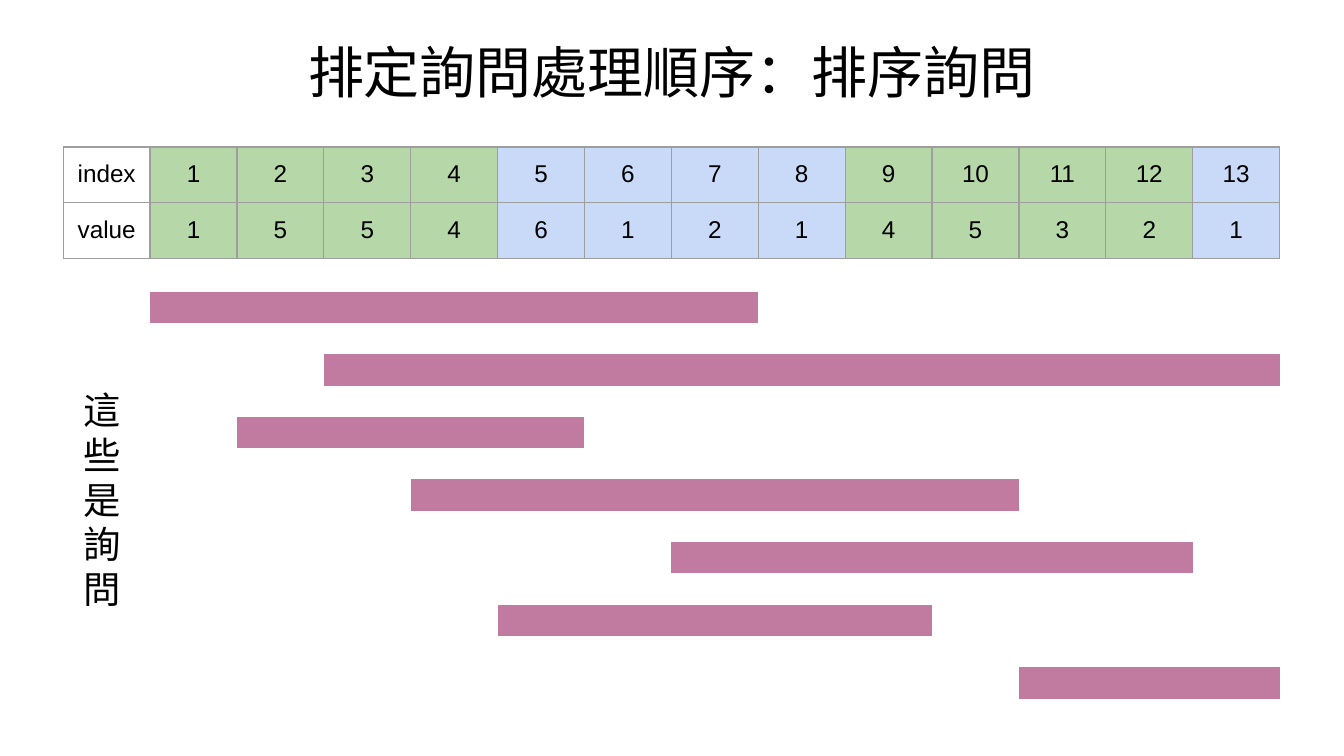
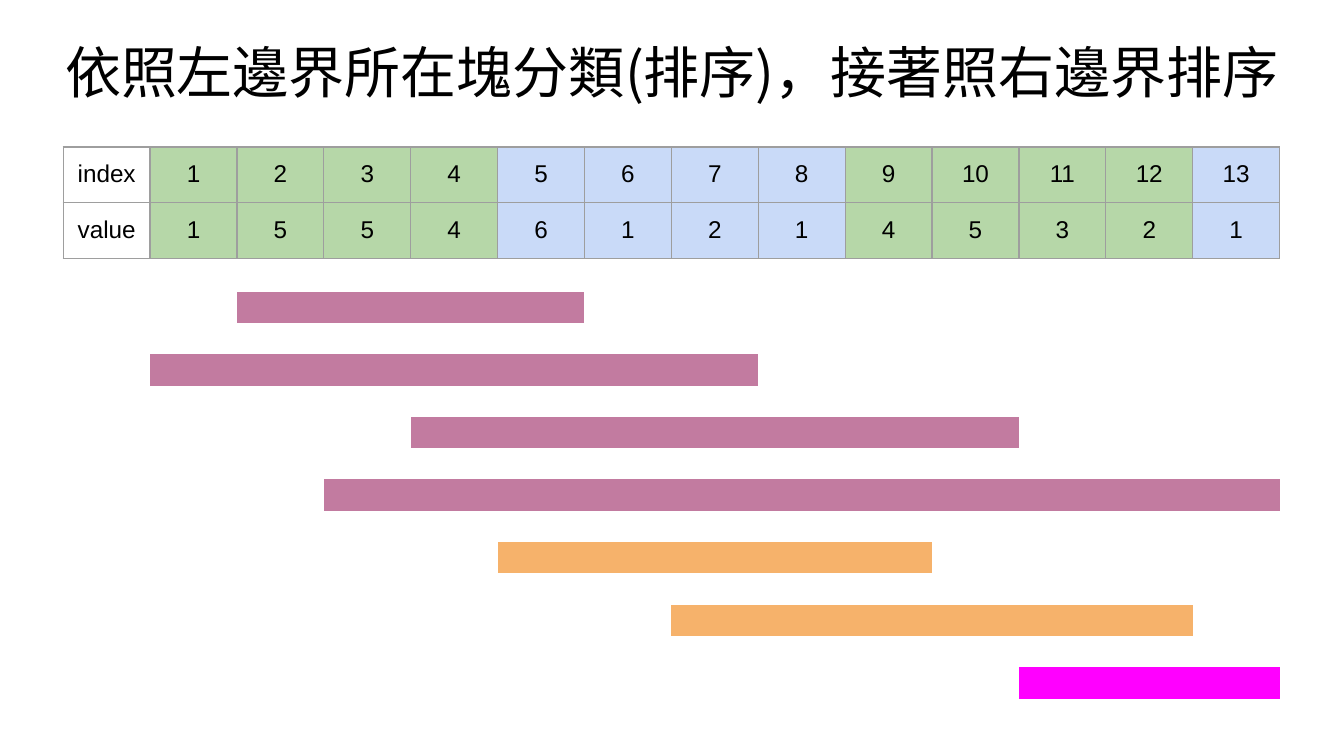
"""Build two slides on sorting range queries by block."""
import dataclasses

import lxml.etree as etree
import pptx
import pptx.dml.color
import pptx.enum.text
import pptx.oxml.ns
import pptx.slide
import pptx.table
import pptx.text.text
import pptx.util

PX = 3048
WIDE, HIGH = 3000, 1688
LEFT, COL = 141, 194
SIZE = 4
BLACK, GREY = "000000", "9E9E9E"
BANDS = ("B6D7A8", "C9DAF8")
HUES = ("C27BA0", "F6B26B", "FF00FF")
SANS, HAN = "Arial", "Noto Sans CJK TC"
PLAIN = "{2D5ABB26-0587-4C30-8999-92F81FD0307C}"
VALUES = (1, 5, 5, 4, 6, 1, 2, 1, 4, 5, 3, 2, 1)
ALIGN = pptx.enum.text.PP_ALIGN
ANCHOR = pptx.enum.text.MSO_ANCHOR


@dataclasses.dataclass(frozen=True)
class Query:
    first: int
    last: int

    @property
    def block(self) -> int:
        return (self.first - 1) // SIZE


@dataclasses.dataclass(frozen=True)
class Grid:
    left: int
    top: int
    rows: int
    cols: int
    row: int


HEAD = Grid(LEFT, 328, 2, len(VALUES) + 1, 125)
BARS = Grid(LEFT + COL, 651, 13, len(VALUES), 70)
ASKED = [Query(1, 7), Query(3, 13), Query(2, 5), Query(4, 10),
         Query(7, 12), Query(5, 9), Query(11, 13)]


def px(count: int) -> pptx.util.Emu:
    return pptx.util.Emu(count * PX)


def tint(code: str) -> pptx.dml.color.RGBColor:
    return pptx.dml.color.RGBColor.from_string(code)


def style(frame: pptx.text.text.TextFrame, size: int, face: str,
          align: ALIGN) -> None:
    for para in frame.paragraphs:
        para.alignment = align
        for run in para.runs:
            run.font.size = pptx.util.Pt(size)
            run.font.name = face
            run.font.color.rgb = tint(BLACK)
            east = etree.SubElement(run.font._element, pptx.oxml.ns.qn("a:ea"))
            east.set("typeface", face)


def inset(frame: pptx.text.text.TextFrame, anchor: ANCHOR) -> None:
    frame.margin_left = frame.margin_right = px(30)
    frame.margin_top = frame.margin_bottom = px(30)
    frame.word_wrap = True
    frame.auto_size = pptx.enum.text.MSO_AUTO_SIZE.NONE
    frame.vertical_anchor = anchor


def margin(cell: pptx.table._Cell, gap: int) -> None:
    cell.margin_left = cell.margin_right = px(gap)
    cell.margin_top = cell.margin_bottom = px(gap)


def paint(cell: pptx.table._Cell, code: str) -> None:
    cell.fill.solid()
    cell.fill.fore_color.rgb = tint(code)


def edge(cell: pptx.table._Cell) -> None:
    props = cell._tc.get_or_add_tcPr()
    for spot, side in enumerate(("lnL", "lnR", "lnT", "lnB")):
        line = etree.Element(pptx.oxml.ns.qn(f"a:{side}"), w="9525")
        fill = etree.SubElement(line, pptx.oxml.ns.qn("a:solidFill"))
        etree.SubElement(fill, pptx.oxml.ns.qn("a:srgbClr"), val=GREY)
        props.insert(spot, line)


def add_grid(slide: pptx.slide.Slide, grid: Grid) -> pptx.table.Table:
    frame = slide.shapes.add_table(
        grid.rows, grid.cols, px(grid.left), px(grid.top),
        px(grid.cols * COL), px(grid.rows * grid.row))
    table = frame.table
    table.first_row = table.horz_banding = False
    table._tbl.tblPr.find(pptx.oxml.ns.qn("a:tableStyleId")).text = PLAIN
    for col in table.columns:
        col.width = px(COL)
    for row in table.rows:
        row.height = px(grid.row)
    for cell in table.iter_cells():
        cell.fill.background()
    return table


def add_head(slide: pptx.slide.Slide) -> None:
    table = add_grid(slide, HEAD)
    lines = (("index", *range(1, len(VALUES) + 1)), ("value", *VALUES))
    for row, line in enumerate(lines):
        for col, item in enumerate(line):
            cell = table.cell(row, col)
            cell.text_frame.text = str(item)
            style(cell.text_frame, 13, SANS, ALIGN.CENTER)
            margin(cell, 30)
            if col:
                paint(cell, BANDS[(col - 1) // SIZE % 2])
            edge(cell)


def add_bars(slide: pptx.slide.Slide, queries: list[Query],
             sort: bool) -> None:
    table = add_grid(slide, BARS)
    for cell in table.iter_cells():
        margin(cell, 0)
        para = cell.text_frame.paragraphs[0]._p
        etree.SubElement(para, pptx.oxml.ns.qn("a:endParaRPr"), sz="600")
    for rank, query in enumerate(queries):
        for col in range(query.first - 1, query.last):
            paint(table.cell(rank * 2, col), HUES[query.block if sort else 0])


def add_label(slide: pptx.slide.Slide) -> None:
    box = slide.shapes.add_textbox(px(156), px(651), px(177), px(927))
    frame = box.text_frame
    inset(frame, ANCHOR.MIDDLE)
    frame.text = "這\n些\n是詢問"
    style(frame, 20, HAN, ALIGN.LEFT)


def add_page(deck: pptx.presentation.Presentation, text: str,
             queries: list[Query], sort: bool) -> pptx.slide.Slide:
    slide = deck.slides.add_slide(deck.slide_layouts[5])
    title = slide.shapes.title
    title.left, title.top = px(0), px(54)
    title.width, title.height = px(WIDE), px(201)
    inset(title.text_frame, ANCHOR.TOP)
    title.text_frame.text = text
    style(title.text_frame, 30, HAN, ALIGN.CENTER)
    add_head(slide)
    add_bars(slide, queries, sort)
    return slide


def main() -> None:
    deck = pptx.Presentation()
    deck.slide_width, deck.slide_height = px(WIDE), px(HIGH)
    add_label(add_page(deck, "排定詢問處理順序：排序詢問", ASKED, False))
    ranked = sorted(ASKED, key=lambda query: (query.block, query.last))
    add_page(deck, "依照左邊界所在塊分類(排序)，接著照右邊界排序", ranked, True)
    deck.save("out.pptx")


if __name__ == "__main__":
    main()
